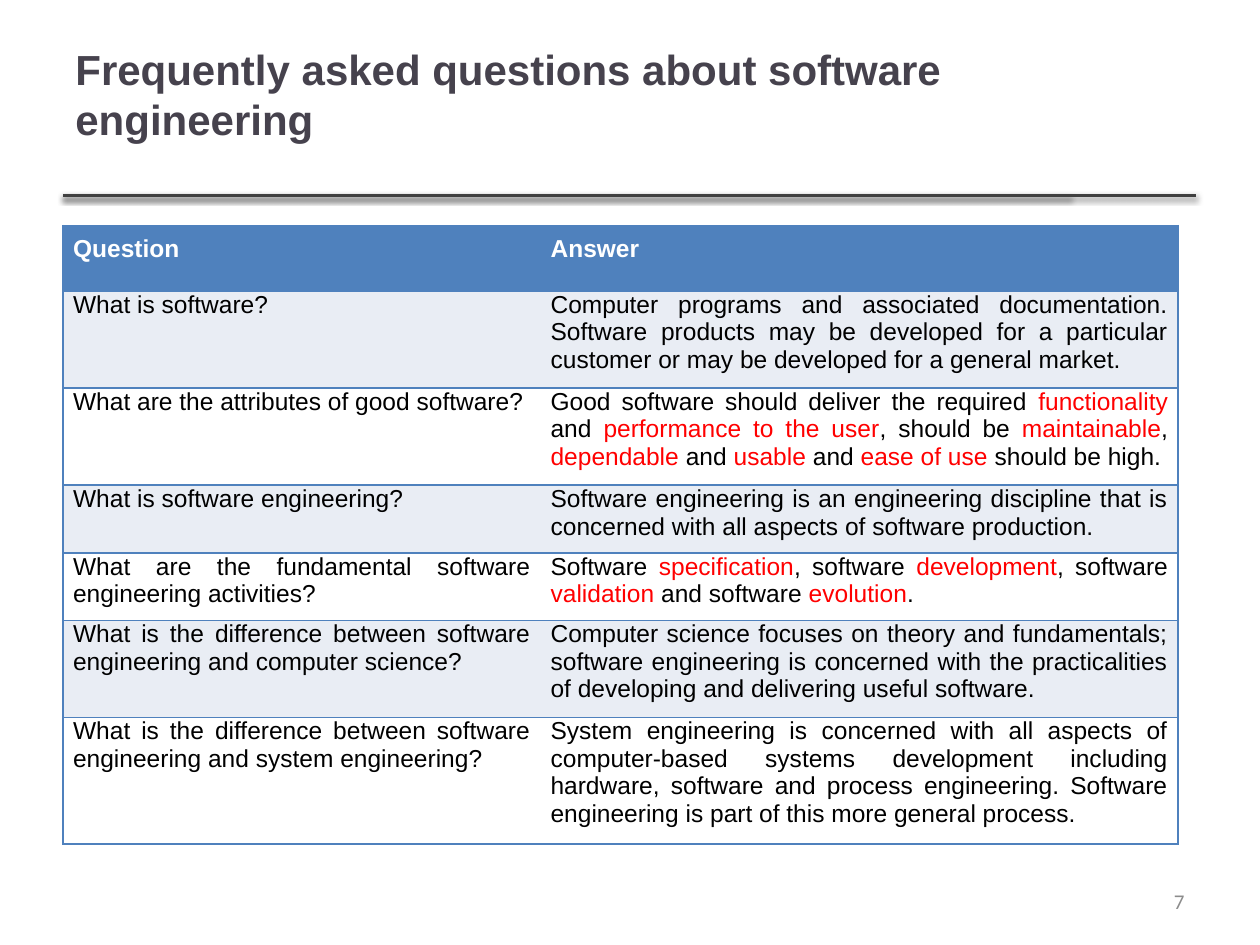
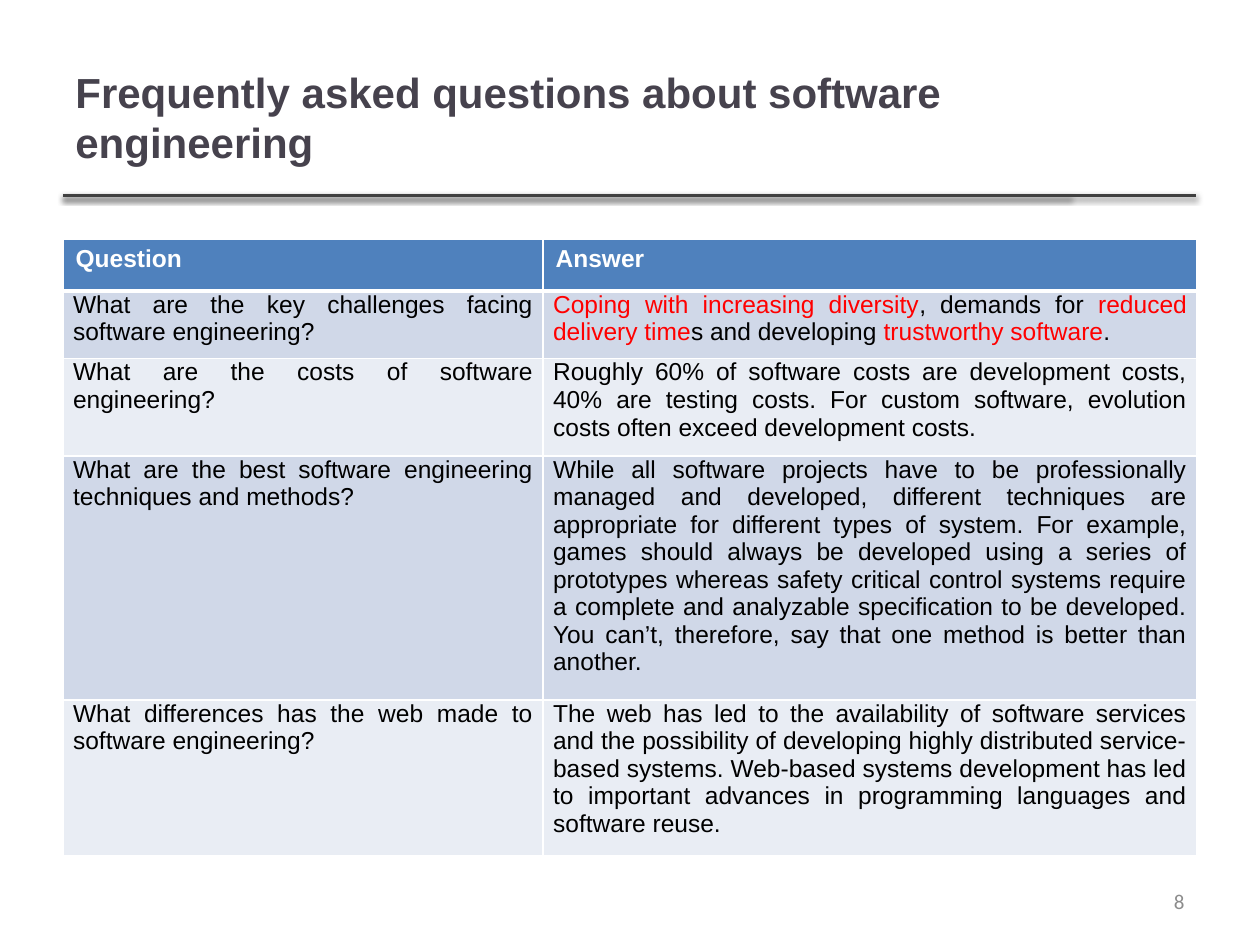
from dataclasses import dataclass

from lxml.etree import SubElement
from pptx import Presentation
from pptx.dml.color import RGBColor
from pptx.enum.shapes import MSO_CONNECTOR
from pptx.enum.text import MSO_ANCHOR, PP_ALIGN
from pptx.oxml.ns import qn
from pptx.util import Inches, Pt


@dataclass(frozen=True)
class Theme:
    title: str = "46424D"
    rule: str = "404040"
    header: str = "4F81BD"
    light: str = "E9EDF4"
    mid: str = "D0D8E8"
    white: str = "FFFFFF"
    black: str = "000000"
    accent: str = "FF0000"
    number: str = "8C8C8C"
    font: str = "Arial"
    number_font: str = "Calibri"
    title_size: int = 24
    body_size: int = 14
    number_size: int = 12


@dataclass(frozen=True)
class Box:
    """A region in cells of the 100 x 75 slide grid."""
    left: float
    top: float
    width: float
    height: float

    def place(self):
        return [grid(v) for v in (self.left, self.top, self.width, self.height)]


@dataclass(frozen=True)
class TableLook:
    """Borders are (colour, points), or None for no border."""
    bands: tuple
    edge: tuple
    inner: tuple
    header_rule: tuple
    header_insets: tuple
    header_align: PP_ALIGN


THEME = Theme()
COLUMNS, ROWS = 100, 75
BODY_INSETS = (0.08, 0, 0.08, 0.07)
TITLE = "Frequently asked questions about software engineering"
NUMBER_BOX = Box(71.7, 69.5, 23.3, 4)
BLUE_EDGE = (THEME.header, 1)
WHITE_EDGE = (THEME.white, 1)
OUTLINED = TableLook((THEME.light, THEME.white), BLUE_EDGE, None, BLUE_EDGE,
                     (0.08, 0.08, 0.08, 0.08), PP_ALIGN.JUSTIFY)
BANDED = TableLook((THEME.mid, THEME.light), WHITE_EDGE, WHITE_EDGE,
                   (THEME.white, 3), (0.1, 0.05, 0.1, 0.05), PP_ALIGN.LEFT)

# Text between asterisks is set in the accent colour
BASICS = [
    ("Question", "Answer"),
    ("What is software?",
     "Computer programs and associated documentation. Software products may be "
     "developed for a particular customer or may be developed for a general market."),
    ("What are the attributes of good software?",
     "Good software should deliver the required *functionality *and *performance to "
     "the user*, should be *maintainable*, *dependable* and *usable *and *ease of use "
     "*should be high."),
    ("What is software engineering?",
     "Software engineering is an engineering discipline that is concerned with all "
     "aspects of software production."),
    ("What are the fundamental software engineering activities?",
     "Software *specification*, software *development*, software *validation* and "
     "software *evolution*."),
    ("What is the difference between software engineering and computer science?",
     "Computer science focuses on theory and fundamentals; software engineering is "
     "concerned with the practicalities of developing and delivering useful software."),
    ("What is the difference between software engineering and system engineering?",
     "System engineering is concerned with all aspects of computer-based systems "
     "development including hardware, software and process engineering. Software "
     "engineering is part of this more general process."),
]
PRACTICE = [
    ("Question", "Answer"),
    ("What are the key challenges facing software engineering?",
     "*Coping with increasing diversity*, demands for *reduced delivery time*s and "
     "developing *trustworthy software*."),
    ("What are the costs of software engineering?",
     "Roughly 60% of software costs are development costs, 40% are testing costs. For "
     "custom software, evolution costs often exceed development costs."),
    ("What are the best software engineering techniques and methods?",
     "While all software projects have to be professionally managed and developed, "
     "different techniques are appropriate for different types of system. For example, "
     "games should always be developed using a series of prototypes whereas safety "
     "critical control systems require a complete and analyzable specification to be "
     "developed. You can’t, therefore, say that one method is better than another."),
    ("What differences has the web made to software engineering?",
     "The web has led to the availability of software services and the possibility of "
     "developing highly distributed service-based systems. Web-based systems development "
     "has led to important advances in programming languages and software reuse."),
]


def grid(cells):
    return Inches(cells / 10)


def rgb(color):
    return RGBColor.from_string(color)


def add_run(p, text, size, color, bold=False, font=THEME.font):
    r = p.add_run()
    r.text = text
    r.font.name = font
    r.font.size = Pt(size)
    r.font.bold = bold
    r.font.color.rgb = rgb(color)


def set_insets(target, insets):
    (target.margin_left, target.margin_top,
     target.margin_right, target.margin_bottom) = [Inches(v) for v in insets]


def add_text_box(s, box, insets=(0.1, 0.05, 0.1, 0.05)):
    tf = s.shapes.add_textbox(*box.place()).text_frame
    tf.word_wrap = True
    tf.vertical_anchor = MSO_ANCHOR.MIDDLE
    set_insets(tf, insets)
    return tf.paragraphs[0]


# Title and page number
def add_title(s, box, bottom_inset):
    p = add_text_box(s, box, (0.1, 0.05, 0.1, bottom_inset))
    add_run(p, TITLE, THEME.title_size, THEME.title, bold=True)


def add_page_number(s, box, number):
    p = add_text_box(s, box)
    p.alignment = PP_ALIGN.RIGHT
    add_run(p, str(number), THEME.number_size, THEME.number, font=THEME.number_font)


# Two overlapping rules under the title, each with a soft shadow
def add_title_rules(s, left=5, top=15.5, ends=(84.9, 94.9)):
    for end in ends:
        line = s.shapes.add_connector(MSO_CONNECTOR.STRAIGHT, grid(left), grid(top),
                                      grid(end), grid(top))
        line.line.color.rgb = rgb(THEME.rule)
        line.line.width = Pt(2)
        effects = SubElement(line._element.spPr, qn("a:effectLst"))
        shadow = SubElement(effects, qn("a:outerShdw"), blurRad="40000", dist="20000",
                            dir="5400000", rotWithShape="0")
        color = SubElement(shadow, qn("a:srgbClr"), val=THEME.black)
        SubElement(color, qn("a:alpha"), val="38000")


# Question and answer table
def set_border(cell, side, border):
    ln = SubElement(cell._tc.get_or_add_tcPr(), qn(f"a:ln{side}"))
    if border is None:
        SubElement(ln, qn("a:noFill"))
        return
    color, width = border
    ln.set("w", str(Pt(width)))
    SubElement(SubElement(ln, qn("a:solidFill")), qn("a:srgbClr"), val=color)


def style_cell(cell, row, col, look):
    borders = {
        "L": look.inner if col else look.edge,
        "R": look.edge if col else look.inner,
        "T": look.header_rule if row == 1 else look.edge,
        "B": look.edge if row else look.header_rule,
    }
    for side, border in borders.items():
        set_border(cell, side, border)
    cell.fill.solid()
    cell.fill.fore_color.rgb = rgb(look.bands[(row - 1) % 2] if row else THEME.header)
    set_insets(cell, BODY_INSETS if row else look.header_insets)


def fill_cell(cell, text, row, look):
    p = cell.text_frame.paragraphs[0]
    p.alignment = PP_ALIGN.JUSTIFY if row else look.header_align
    for i, part in enumerate(text.split("*")):
        if part:
            color = THEME.accent if i % 2 else THEME.black
            add_run(p, part, THEME.body_size, color if row else THEME.white,
                    bold=row == 0)


def add_faq_table(s, box, question_width, heights, rows, look):
    table = s.shapes.add_table(len(rows), 2, *box.place()).table
    table.first_row = table.horz_banding = False
    table.columns[0].width = grid(question_width)
    table.columns[1].width = grid(box.width - question_width)
    for row, (height, texts) in enumerate(zip(heights, rows)):
        table.rows[row].height = grid(height)
        for col, text in enumerate(texts):
            cell = table.cell(row, col)
            style_cell(cell, row, col, look)
            fill_cell(cell, text, row, look)


def add_faq_slide(prs, number, title_box, title_bottom, table_origin, widths, heights,
                  rows, look):
    s = prs.slides.add_slide(prs.slide_layouts[6])
    add_title_rules(s)
    add_title(s, title_box, title_bottom)
    table_box = Box(*table_origin, sum(widths), sum(heights))
    add_faq_table(s, table_box, widths[0], heights, rows, look)
    add_page_number(s, NUMBER_BOX, number)


def main():
    prs = Presentation()
    prs.slide_width, prs.slide_height = grid(COLUMNS), grid(ROWS)
    add_faq_slide(prs, 7, Box(5, 3, 84.1, 12.9), 0.45, (5, 17.9), (37.9, 50.6),
                  (5.2, 7.3, 7.3, 5.2, 5.2, 7.3, 9.5), BASICS, OUTLINED)
    add_faq_slide(prs, 8, Box(5, 3, 79.8, 12.5), 0.05, (5, 19), (38.1, 51.9),
                  (4.1, 5.1, 7.3, 18.2, 11.6), PRACTICE, BANDED)
    prs.save("out.pptx")


if __name__ == "__main__":
    main()
